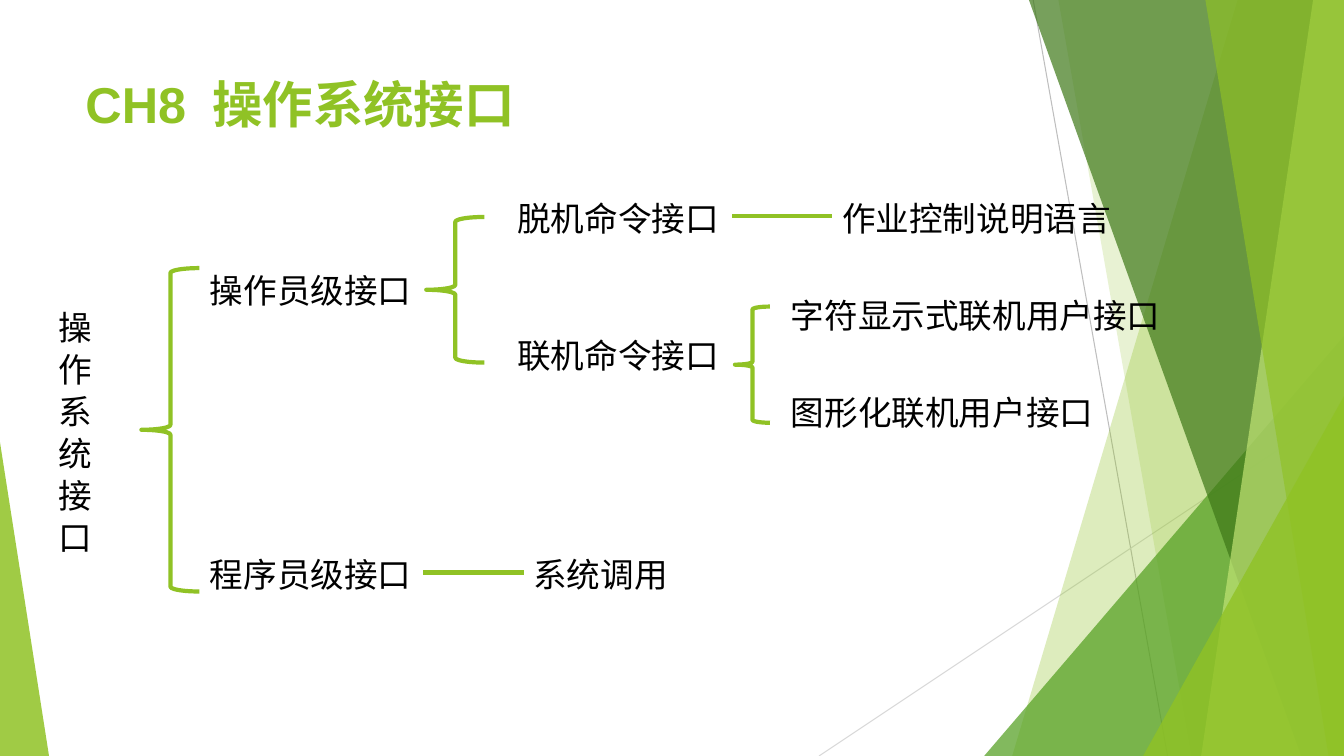
"""Build the chapter 8 slide: a bracket tree of operating system interfaces."""
import pptx
import pptx.dml.color
import pptx.enum.shapes
import pptx.enum.text
import pptx.oxml.ns
import pptx.oxml.xmlchemy
import pptx.util

Pt = pptx.util.Pt
RGBColor = pptx.dml.color.RGBColor
OxmlElement = pptx.oxml.xmlchemy.OxmlElement

LIME = RGBColor(0x90, 0xC2, 0x25)
LEAF = RGBColor(0x53, 0x9F, 0x20)
FOREST = RGBColor(0x3E, 0x78, 0x18)
PALE_LIME = RGBColor(0xC0, 0xE3, 0x74)
GRAY = RGBColor(0xBE, 0xBE, 0xBE)
LIGHT_GRAY = RGBColor(0xD9, 0xD9, 0xD9)
BLACK = RGBColor(0, 0, 0)
WIDTH, HEIGHT = 960, 540

deck = pptx.Presentation()
deck.slide_width, deck.slide_height = Pt(WIDTH), Pt(HEIGHT)
page = deck.slides.add_slide(deck.slide_layouts[6])


def add_line(start, end, color, weight):
    line = page.shapes.add_connector(
        pptx.enum.shapes.MSO_CONNECTOR.STRAIGHT,
        *[Pt(value) for value in (*start, *end)])
    line.line.color.rgb = color
    line.line.width = Pt(weight)
    line._element.spPr.append(OxmlElement("a:effectLst"))


def add_text(text, left, top, width, height, size=24, color=BLACK, bold=False):
    box = page.shapes.add_textbox(Pt(left), Pt(top), Pt(width), Pt(height))
    frame = box.text_frame
    frame.margin_left, frame.margin_top = Pt(1), Pt(2)
    frame.margin_right = frame.margin_bottom = 0
    frame.word_wrap = True
    para = frame.paragraphs[0]
    para.text = text
    span = para.runs[0]
    span.font.name = "Arial"
    span.font.size = Pt(size)
    span.font.bold = bold
    span.font.color.rgb = color
    return para


add_line((738, 0), (834, HEIGHT), GRAY, 0.75)
add_line((WIDTH, 290), (585, HEIGHT), LIGHT_GRAY, 0.75)

right_corner = (WIDTH, HEIGHT)
panels = [
    (LIME, 30, [(WIDTH, 0), (884, 0), (723, HEIGHT), right_corner]),
    (LIME, 20, [(WIDTH, 0), (756, 0), (851, HEIGHT), right_corner]),
    (LEAF, 72, [(WIDTH, 240), (703, HEIGHT), right_corner]),
    (FOREST, 70, [(WIDTH, 0), (735, 0), (929.5, HEIGHT), right_corner]),
    (PALE_LIME, 70, [(WIDTH, 0), (938, 0), (858, HEIGHT), right_corner]),
    (LIME, 65, [(WIDTH, 0), (861, 0), (949, HEIGHT), right_corner]),
    (LIME, 80, [(WIDTH, 283), (816.5, HEIGHT), right_corner]),
    (LIME, 85, [(0, 316), (0, HEIGHT), (35, HEIGHT)]),
]
for color, opacity, corners in panels:
    points = [(Pt(x), Pt(y)) for x, y in corners]
    builder = page.shapes.build_freeform(*points[0])
    builder.add_line_segments(points[1:], close=True)
    panel = builder.convert_to_shape()
    panel.shadow.inherit = False
    panel.fill.solid()
    panel.fill.fore_color.rgb = color
    panel.line.fill.background()
    color_element = panel._element.spPr.find(".//" + pptx.oxml.ns.qn("a:srgbClr"))
    alpha = OxmlElement("a:alpha")
    alpha.set("val", str(opacity * 1000))
    color_element.append(alpha)

root = add_text("操 作 系 统 接 口", 41, 216, 26, 181)
root.alignment = pptx.enum.text.PP_ALIGN.JUSTIFY
root.line_spacing = Pt(30)

labels = [
    ("操作员级接口", 149, 191),
    ("程序员级接口", 149, 394),
    ("脱机命令接口", 368.5, 139.5),
    ("联机命令接口", 368.5, 237),
    ("字符显示式联机用户接口", 564, 209),
    ("图形化联机用户接口", 564, 278),
    ("系统调用", 380, 394),
    ("作业控制说明语言", 600.5, 139.5),
]
for text, left, top in labels:
    add_text(text, left, top, 24 * len(text) + 4, 31)

braces = [(101, 191.5, 41.5, 231), (304.5, 155, 41.5, 104), (525, 219, 25, 83)]
for bounds in braces:
    brace = page.shapes.add_shape(
        pptx.enum.shapes.MSO_SHAPE.LEFT_BRACE, *[Pt(value) for value in bounds])
    brace.shadow.inherit = False
    brace.fill.background()
    brace.line.color.rgb = LIME
    brace.line.width = Pt(3)

for left, top in [(523, 154.5), (302.5, 409)]:
    add_line((left, top), (left + 71.5, top), LIME, 3)

title = add_text("CH8\t操作系统接口", 60, 50, 312, 45, 36, LIME, True)
tab_list = OxmlElement("a:tabLst")
tab = OxmlElement("a:tab")
tab.set("pos", str(Pt(90.7)))
tab.set("algn", "l")
tab_list.append(tab)
title._p.get_or_add_pPr().append(tab_list)

deck.save("out.pptx")
